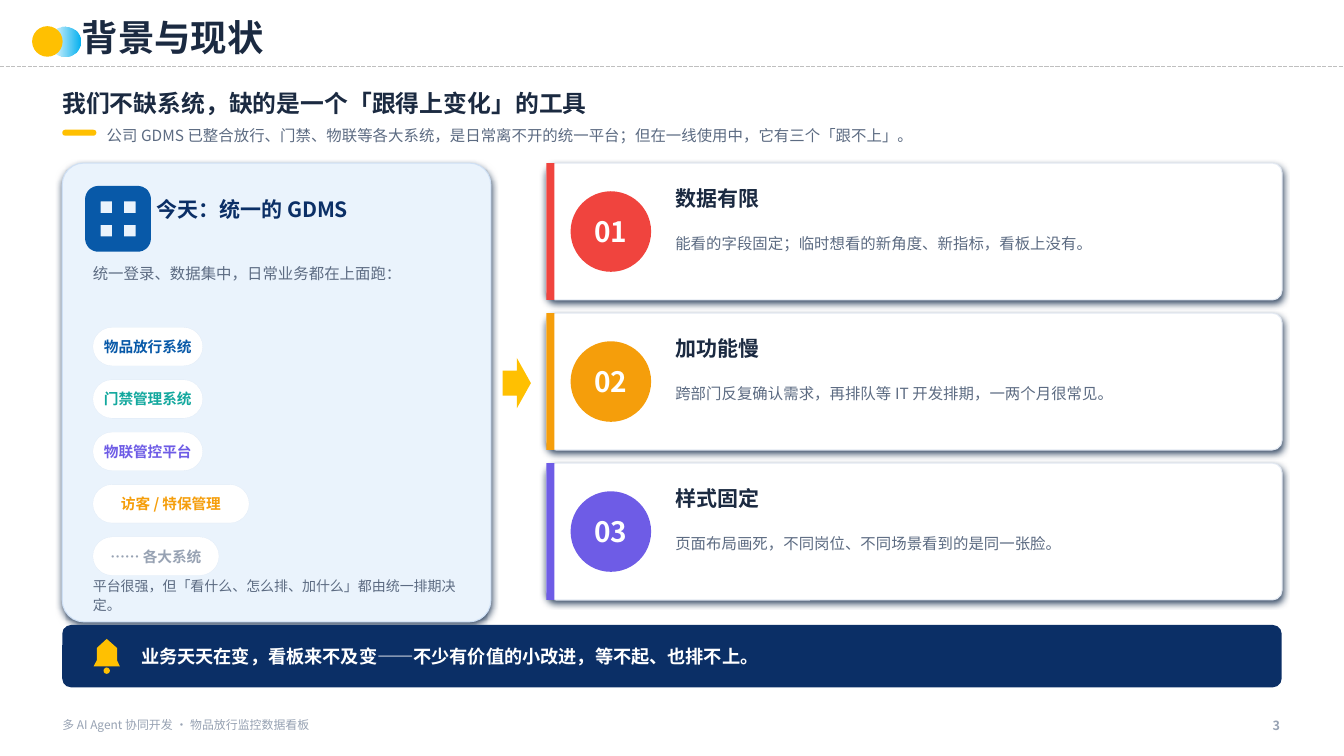
from lxml import etree
from pptx import Presentation
from pptx.dml.color import RGBColor
from pptx.enum.dml import MSO_LINE
from pptx.enum.shapes import MSO_CONNECTOR, MSO_SHAPE
from pptx.enum.text import MSO_ANCHOR, MSO_AUTO_SIZE, PP_ALIGN
from pptx.oxml.ns import qn
from pptx.util import Cm, Pt

LEFT, CENTER, RIGHT = PP_ALIGN.LEFT, PP_ALIGN.CENTER, PP_ALIGN.RIGHT
TOP, MIDDLE = MSO_ANCHOR.TOP, MSO_ANCHOR.MIDDLE
NO_AUTOFIT = MSO_AUTO_SIZE.NONE
RECT, ROUND = MSO_SHAPE.RECTANGLE, MSO_SHAPE.ROUNDED_RECTANGLE
OVAL, ARROW = MSO_SHAPE.OVAL, MSO_SHAPE.RIGHT_ARROW
STRAIGHT, DASH = MSO_CONNECTOR.STRAIGHT, MSO_LINE.SQUARE_DOT

FONT = "Noto Sans CJK SC"
INK, GREY, PALE, WHITE = "1B2A41", "5C6B82", "97A2B3", "FFFFFF"
NAVY, BLUE, YELLOW, SKY = "0B2F66", "0859A8", "FFC001", "01B0F0"
RED, ORANGE, PURPLE, TEAL = "F0443E", "F59E0B", "6E5CE6", "13A89E"

MARGIN, INNER = 1.57, 2.34
CARD_TOP, CARD_PITCH = 4.11, 3.78
CHIP_TOP, CHIP_PITCH = 8.25, 1.32

CHIPS = [
    ("物品放行系统", 2.77, BLUE),
    ("门禁管理系统", 2.77, TEAL),
    ("物联管控平台", 2.77, PURPLE),
    ("访客 / 特保管理", 3.94, ORANGE),
    ("…… 各大系统", 3.18, PALE),
]
CARDS = [
    ("数据有限", "能看的字段固定；临时想看的新角度、新指标，看板上没有。", RED),
    ("加功能慢", "跨部门反复确认需求，再排队等 IT 开发排期，一两个月很常见。", ORANGE),
    ("样式固定", "页面布局画死，不同岗位、不同场景看到的是同一张脸。", PURPLE),
]


def paint(color, value):
    """Set a colour format from a hex string."""
    color.rgb = RGBColor.from_string(value)


def write(s, text, size, color, bold=False, align=LEFT, anchor=TOP, spacing=None):
    """Write one formatted paragraph into a shape without insets."""
    tf = s.text_frame
    tf.word_wrap, tf.auto_size, tf.vertical_anchor = True, NO_AUTOFIT, anchor
    tf.margin_left = tf.margin_right = tf.margin_top = tf.margin_bottom = 0
    p = tf.paragraphs[0]
    p.text, p.alignment = text, align
    if spacing:
        p.line_spacing = spacing
    p.font.size, p.font.bold, p.font.name = Pt(size), bold, FONT
    paint(p.font.color, color)
    etree.SubElement(p._p.pPr.find(qn("a:defRPr")), qn("a:ea"), typeface=FONT)


def add_text(slide, box, text, size, color, **style):
    """Add a text box."""
    write(slide.shapes.add_textbox(*map(Cm, box)), text, size, color, **style)


def finish(s, fill=None, line=None, width=0.75):
    """Set the fill and outline of a shape and drop its shadow."""
    s.shadow.inherit = False
    if fill:
        s.fill.solid()
        paint(s.fill.fore_color, fill)
    else:
        s.fill.background()
    if line:
        paint(s.line.color, line)
        s.line.width = Pt(width)
    else:
        s.line.fill.background()


def add_shape(slide, kind, box, fill=None, line=None, width=0.75, radius=None):
    """Add a preset shape."""
    s = slide.shapes.add_shape(kind, *map(Cm, box))
    if radius is not None:
        s.adjustments[0] = radius
    finish(s, fill, line, width)
    return s


def add_line(slide, ends, color, width, dash=None):
    """Add a straight line without shadow."""
    s = slide.shapes.add_connector(STRAIGHT, *map(Cm, ends))
    paint(s.line.color, color)
    s.line.width = Pt(width)
    if dash:
        s.line.dash_style = dash
    etree.SubElement(s._element.spPr, qn("a:effectLst"))


def add_panel(slide, box, fill, line, radius):
    """Add a rounded panel with a soft shadow below it."""
    s = add_shape(slide, ROUND, box, fill, line, radius=radius)
    effects = s._element.spPr.find(qn("a:effectLst"))
    shadow = etree.SubElement(
        effects, qn("a:outerShdw"), blurRad=str(Pt(5)), dist=str(Pt(1.8)),
        dir="5400000", algn="ctr", rotWithShape="0")
    color = etree.SubElement(shadow, qn("a:srgbClr"), val="0F2747")
    etree.SubElement(color, qn("a:alpha"), val="84000")


def add_header(slide):
    """Add the title, its two dots, the rule and the introduction."""
    add_line(slide, (0, 1.68, 33.87, 1.68), "BFBFBF", 1, DASH)
    s = add_shape(slide, OVAL, (1.26, 0.66, 0.77, 0.77), SKY)
    s.fill.gradient()
    s.fill.gradient_angle = 0
    for stop, position in zip(s.fill.gradient_stops, (0, 1)):
        paint(stop.color, SKY)
        stop.position = position
    first = s._element.spPr.find(".//" + qn("a:srgbClr"))
    etree.SubElement(first, qn("a:alpha"), val="0")
    add_shape(slide, OVAL, (0.81, 0.66, 0.77, 0.77), YELLOW)

    title = slide.shapes.title
    title.left, title.top, title.width, title.height = map(Cm, (2.06, 0.3, 20.32, 1.27))
    write(title, "背景与现状", 26, INK, bold=True, anchor=MIDDLE)
    add_text(slide, (MARGIN, 2.08, 30.73, 1.02),
             "我们不缺系统，缺的是一个「跟得上变化」的工具", 17, INK, bold=True, anchor=MIDDLE)
    add_shape(slide, ROUND, (MARGIN, 3.27, 0.86, 0.15), YELLOW, radius=0.5)
    add_text(slide, (2.69, 3.05, 29.46, 0.71),
             "公司 GDMS 已整合放行、门禁、物联等各大系统，是日常离不开的统一平台；"
             "但在一线使用中，它有三个「跟不上」。", 11, GREY, anchor=MIDDLE)


def add_platform(slide):
    """Add the left panel with the platform icon and system chips."""
    add_panel(slide, (MARGIN, CARD_TOP, 10.8, 11.56), "EAF3FC", "CFE0F5", 0.05)
    add_shape(slide, ROUND, (INNER, 4.88, 1.27, 1.27), line=BLUE, width=11, radius=0.1)
    add_line(slide, (2.97, 4.98, 2.97, 6.05), BLUE, 8.8)
    add_line(slide, (2.44, 5.51, 3.51, 5.51), BLUE, 8.8)
    add_text(slide, (3.94, 4.95, 7.87, 1.02), "今天：统一的 GDMS", 15, NAVY, bold=True)
    add_text(slide, (INNER, 6.65, 9.27, 1.52),
             "统一登录、数据集中，日常业务都在上面跑：", 11, GREY)
    for i, (name, width, color) in enumerate(CHIPS):
        s = add_shape(slide, ROUND, (INNER, CHIP_TOP + i * CHIP_PITCH, width, 0.97),
                      WHITE, "D6E4F4", 0.06, radius=0.5)
        write(s, name, 10.5, color, bold=True, align=CENTER, anchor=MIDDLE)
    add_text(slide, (INNER, 14.48, 9.27, 1.27),
             "平台很强，但「看什么、怎么排、加什么」都由统一排期决定。", 10, GREY, spacing=1.15)


def add_card(slide, number, heading, detail, color):
    """Add one numbered problem card."""
    top = CARD_TOP + (number - 1) * CARD_PITCH
    add_panel(slide, (13.77, top, 18.54, 3.45), WHITE, "E2E8F2", 0.07)
    add_shape(slide, RECT, (13.77, top, 0.2, 3.45), color)
    s = add_shape(slide, OVAL, (14.38, top + 0.71, 2.03, 2.03), color)
    write(s, f"{number:02}", 20, WHITE, bold=True, align=CENTER, anchor=MIDDLE)
    add_text(slide, (17.02, top + 0.56, 14.99, 1.02), heading, 15, INK, bold=True)
    add_text(slide, (17.02, top + 1.73, 14.86, 1.52), detail, 11, GREY, spacing=1.12)


def add_conclusion(slide):
    """Add the dark bar with the bell and the closing sentence."""
    add_shape(slide, ROUND, (MARGIN, 15.75, 30.73, 1.57), NAVY, radius=0.14)
    bell = [(2.69, 16.1), (2.95, 16.33), (2.95, 16.64), (3.02, 16.79),
            (2.36, 16.79), (2.44, 16.64), (2.44, 16.33)]
    points = [(Cm(x), Cm(y)) for x, y in bell]
    outline = slide.shapes.build_freeform(*points[0])
    outline.add_line_segments(points[1:], close=True)
    finish(outline.convert_to_shape(), YELLOW)
    add_shape(slide, OVAL, (2.61, 16.82, 0.16, 0.16), YELLOW)
    add_text(slide, (3.56, 15.75, 27.94, 1.57),
             "业务天天在变，看板来不及变——不少有价值的小改进，等不起、也排不上。",
             13, WHITE, bold=True, anchor=MIDDLE)


def add_footer(slide):
    """Add the footer line and the page number."""
    add_text(slide, (MARGIN, 18.08, 19.05, 0.71),
             "多 AI Agent 协同开发 · 物品放行监控数据看板", 8.5, PALE)
    add_text(slide, (30.23, 18.08, 2.03, 0.71), "3", 9, PALE, bold=True, align=RIGHT)


def main():
    """Build the slide and save it."""
    prs = Presentation()
    prs.slide_width, prs.slide_height = Cm(33.87), Cm(19.05)
    slide = prs.slides.add_slide(prs.slide_layouts[5])
    add_header(slide)
    add_platform(slide)
    add_shape(slide, ARROW, (12.67, 9.02, 0.71, 1.27), YELLOW)
    for number, card in enumerate(CARDS, 1):
        add_card(slide, number, *card)
    add_conclusion(slide)
    add_footer(slide)
    prs.save("out.pptx")


if __name__ == "__main__":
    main()
